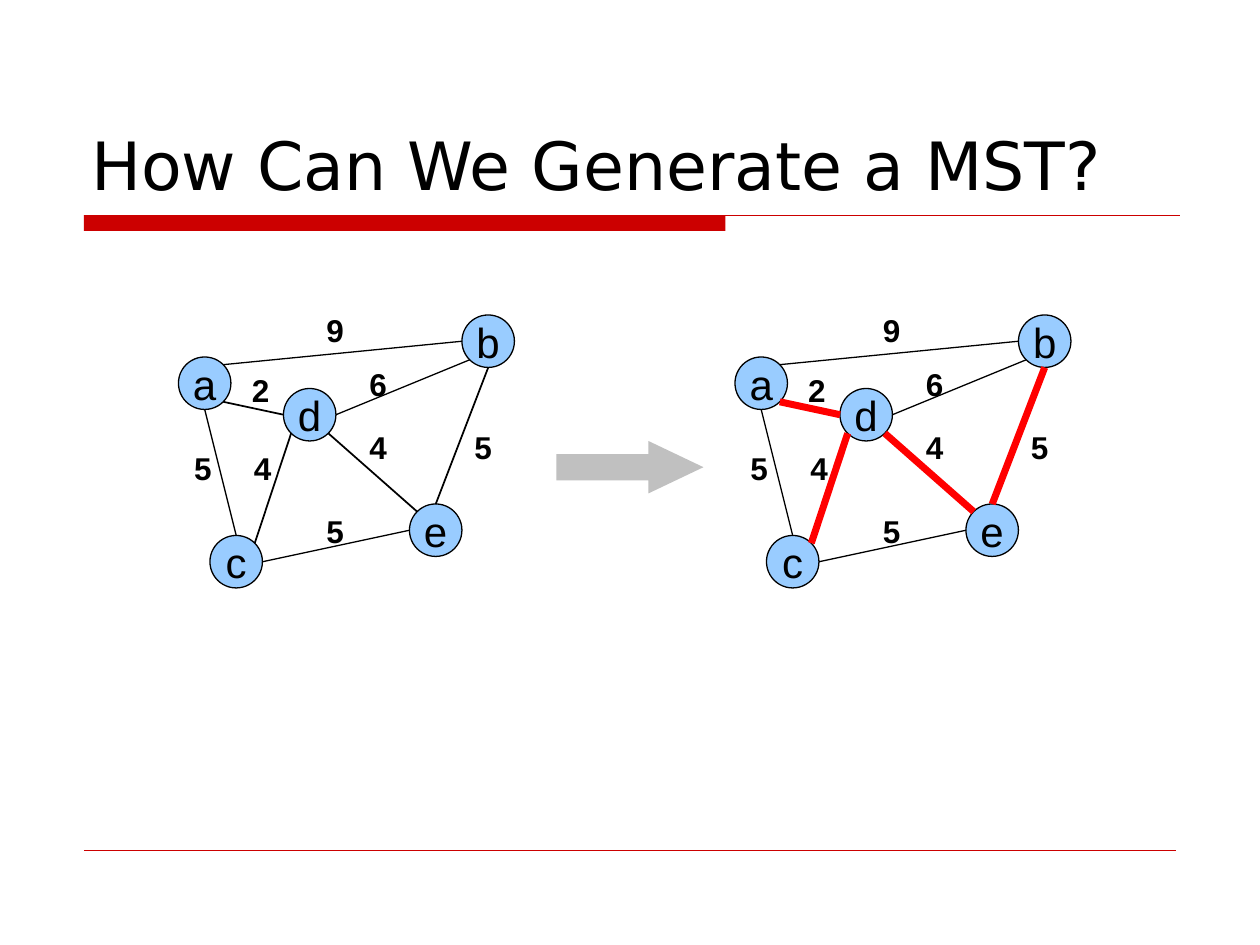
import math
from dataclasses import dataclass

import pptx
import pptx.dml.color
import pptx.enum.shapes
import pptx.enum.text
import pptx.oxml.ns
import pptx.util
from lxml import etree

SHAPES = pptx.enum.shapes.MSO_SHAPE
ANCHORS = pptx.enum.text.MSO_ANCHOR
ALIGNS = pptx.enum.text.PP_ALIGN


@dataclass(frozen=True)
class Theme:
    ink: str = "000000"
    node: str = "99CCFF"
    accent: str = "CC0000"
    tree: str = "FF0000"
    arrow: str = "C0C0C0"
    title_font: str = "DejaVu Sans"
    body_font: str = "Arial"
    title_size: int = 38
    node_size: int = 24
    weight_size: int = 18
    hairline: float = 0.25
    thin: float = 0.75
    medium: float = 1
    thick: float = 4


def cells(count):
    """Length of grid cells; twelve cells make an inch."""
    return pptx.util.Inches(count / 12)


def rgb(code):
    return pptx.dml.color.RGBColor.from_string(code)


class SlideBuilder:
    def __init__(self, slide, theme):
        self.slide = slide
        self.theme = theme

    def add_text(self, frame, text, font, size, bold=False, align=ALIGNS.LEFT):
        para = frame.paragraphs[0]
        para.alignment = align
        span = para.add_run()
        span.text = text
        span.font.name = font
        span.font.size = pptx.util.Pt(size)
        span.font.bold = bold
        span.font.color.rgb = rgb(self.theme.ink)

    def title(self, text, place):
        frame = self.slide.shapes.add_textbox(*map(cells, place)).text_frame
        frame.word_wrap = True
        frame.vertical_anchor = ANCHORS.BOTTOM
        self.add_text(frame, text, self.theme.title_font, self.theme.title_size)

    def shape(self, parent, kind, place, fill, line=None):
        shape = parent.shapes.add_shape(kind, *map(cells, place))
        shape.shadow.inherit = False
        shape.fill.solid()
        shape.fill.fore_color.rgb = rgb(fill)
        if line:
            shape.line.color.rgb = rgb(line)
            shape.line.width = pptx.util.Pt(self.theme.thin)
        else:
            shape.line.fill.background()
        return shape

    def line(self, parent, start, end, color, width):
        line = parent.shapes.add_connector(
            pptx.enum.shapes.MSO_CONNECTOR.STRAIGHT, *map(cells, start + end))
        line.line.color.rgb = rgb(color)
        line.line.width = pptx.util.Pt(width)
        properties = line._element.find(pptx.oxml.ns.qn("p:spPr"))
        etree.SubElement(properties, pptx.oxml.ns.qn("a:effectLst"))

    def node(self, parent, name, left, top):
        place = (left, top, NODE_SIZE, NODE_SIZE)
        circle = self.shape(parent, SHAPES.OVAL, place, self.theme.node, self.theme.ink)
        frame = circle.text_frame
        frame.word_wrap = False
        frame.vertical_anchor = ANCHORS.MIDDLE
        self.add_text(frame, name, self.theme.body_font, self.theme.node_size,
                      align=ALIGNS.CENTER)

    def weight(self, parent, text, left, top):
        box = parent.shapes.add_textbox(*map(cells, (left, top, 4.1, 4.8)))
        frame = box.text_frame
        frame.word_wrap = False
        frame.auto_size = pptx.enum.text.MSO_AUTO_SIZE.SHAPE_TO_FIT_TEXT
        self.add_text(frame, text, self.theme.body_font, self.theme.weight_size, bold=True)

    def graph(self, shift, tree_color, tree_width):
        """Draw the weighted graph, moved right by shift cells."""
        group = self.slide.shapes.add_group_shape()
        for name, (left, top) in NODES.items():
            self.node(group, name, left + shift, top)
        for start, start_side, end, end_side, in_tree in EDGES:
            color, width = ((tree_color, tree_width) if in_tree
                            else (self.theme.ink, self.theme.thin))
            self.line(group, rim(start, start_side, shift), rim(end, end_side, shift), color, width)
        for text, left, top in WEIGHTS:
            self.weight(group, text, left + shift, top)


NODE_SIZE = 5
NODES = {"a": (17, 34), "c": (20, 51), "e": (39, 48), "d": (27, 37), "b": (44, 30)}
COMPASS = ("E", "SE", "S", "SW", "W", "NW", "N", "NE")
# start, side, end, side, belongs to the minimum spanning tree
EDGES = [
    ("a", "NE", "b", "W", False),
    ("d", "E", "b", "SW", False),
    ("a", "S", "c", "N", False),
    ("a", "SE", "d", "W", True),
    ("c", "NE", "d", "SW", True),
    ("d", "SE", "e", "NW", True),
    ("b", "S", "e", "N", True),
    ("e", "W", "c", "E", False),
]
WEIGHTS = [
    ("2", 22.8, 34.7), ("4", 23, 42.2), ("5", 17.3, 42.2), ("9", 29.9, 29),
    ("6", 34, 34.2), ("4", 34, 40.2), ("5", 29.9, 48.2), ("5", 44, 40.2),
]


def rim(name, side, shift):
    """Point on a node's circle in a compass direction."""
    left, top = NODES[name]
    angle = COMPASS.index(side) * math.pi / 4
    radius = NODE_SIZE / 2
    return (left + shift + radius * (1 + math.cos(angle)),
            top + radius * (1 + math.sin(angle)))


def main():
    deck = pptx.Presentation()
    deck.slide_width, deck.slide_height = cells(120), cells(90)
    theme = Theme()
    page = deck.slides.add_slide(deck.slide_layouts[6])
    builder = SlideBuilder(page, theme)

    builder.shape(page, SHAPES.RECTANGLE, (8, 20.5, 61.1, 1.5), theme.accent)
    builder.line(page, (8, 20.5), (112.4, 20.5), theme.accent, theme.thin)
    builder.line(page, (8, 81), (112, 81), theme.accent, theme.hairline)
    builder.title("How Can We Generate a MST?", (7.5, 4, 105, 16))

    builder.graph(0, theme.ink, theme.medium)
    builder.graph(53, theme.tree, theme.thick)
    arrow = builder.shape(page, SHAPES.RIGHT_ARROW, (53, 42, 14, 5), theme.arrow)
    arrow.adjustments[1] = 1.05

    deck.save("out.pptx")


if __name__ == "__main__":
    main()
